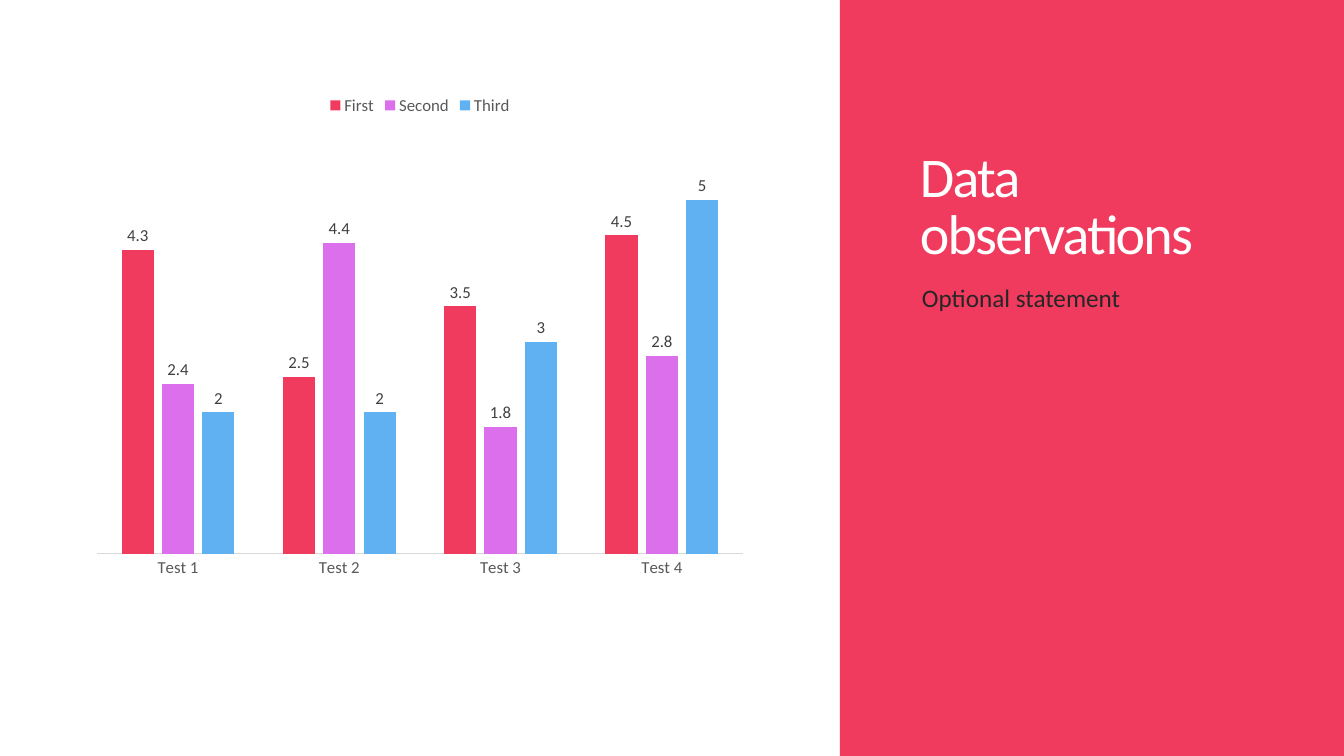
from pptx import Presentation, util as u
from pptx.chart.data import CategoryChartData
from pptx.dml.color import RGBColor
from pptx.enum import chart as ch, shapes, text

Pt = u.Pt
RED, PINK, BLUE = "F03B5E", "DC6FEC", "60B1F2"
WHITE, DARK, LABEL, GREY, RULE = "FFFFFF", "262626", "404040", "595959", "D9D9D9"


def color(code):
    return RGBColor.from_string(code)


class Deck:
    """Style and current slide."""
    face = "Calibri"

    def __init__(self, wide, high):
        self.prs = Presentation()
        self.prs.slide_width, self.prs.slide_height = Pt(wide), Pt(high)
        self.slide = self.prs.slides.add_slide(self.prs.slide_layouts[6])

    def style(self, font, size, code):
        font.name, font.size = self.face, Pt(size)
        font.color.rgb = color(code)

    def panel(self, box, code):
        form = self.slide.shapes.add_shape(
            shapes.MSO_SHAPE.RECTANGLE, *map(Pt, box))
        form.shadow.inherit = False
        form.fill.solid()
        form.fill.fore_color.rgb = color(code)
        form.line.fill.background()

    def label(self, box, words, size, code, anchor="TOP", lead=None,
              before=0, track=0):
        frame = self.slide.shapes.add_textbox(*map(Pt, box)).text_frame
        frame.word_wrap = True
        frame.vertical_anchor = text.MSO_ANCHOR[anchor]
        frame.text = words
        para = frame.paragraphs[0]
        para.line_spacing, para.space_before = lead, Pt(before)
        for run in para.runs:
            self.style(run.font, size, code)
            if track:
                run.font._element.set("spc", str(round(track * 100)))

    def columns(self, box, cats, series):
        data = CategoryChartData()
        data.categories = cats
        for name, _, vals in series:
            data.add_series(name, vals)
        chart = self.slide.shapes.add_chart(
            ch.XL_CHART_TYPE.COLUMN_CLUSTERED, *map(Pt, box), data).chart
        self.style(chart.font, 10, "000000")
        chart.has_title = False

        # Legend
        chart.has_legend = True
        chart.legend.position = ch.XL_LEGEND_POSITION.TOP
        chart.legend.include_in_layout = False
        self.style(chart.legend.font, 12, GREY)

        # Axes
        axis = chart.category_axis
        axis.major_tick_mark = ch.XL_TICK_MARK.NONE
        axis.format.line.color.rgb = color(RULE)
        axis.format.line.width = Pt(0.75)
        self.style(axis.tick_labels.font, 12, GREY)
        scale = chart.value_axis
        scale.minimum_scale, scale.maximum_scale = 0, 6
        scale.has_major_gridlines = False
        scale.visible = False

        # Bars and their values
        plot = chart.plots[0]
        plot.gap_width, plot.overlap = 150, -25
        plot.vary_by_categories = False
        for bars, (_, code, _) in zip(plot.series, series):
            bars.format.fill.solid()
            bars.format.fill.fore_color.rgb = color(code)
            tags = bars.data_labels
            tags.show_value = True
            tags.position = ch.XL_LABEL_POSITION.OUTSIDE_END
            self.style(tags.font, 12, LABEL)


def main():
    deck = Deck(960, 540)

    # Side panel with title and statement
    deck.panel((600, 0, 360, 540), RED)
    deck.label((650, 42.5, 266.5, 151), "Data observations", 40, WHITE,
               anchor="BOTTOM", lead=0.85, track=-1.2)
    deck.label((651.5, 198, 268, 246), "Optional statement", 18, DARK,
               before=12)

    # Test results
    deck.columns((60, 60, 480, 360), [f"Test {n}" for n in range(1, 5)], [
        ("First", RED, (4.3, 2.5, 3.5, 4.5)),
        ("Second", PINK, (2.4, 4.4, 1.8, 2.8)),
        ("Third", BLUE, (2, 2, 3, 5)),
    ])
    deck.prs.save("out.pptx")


if __name__ == "__main__":
    main()
